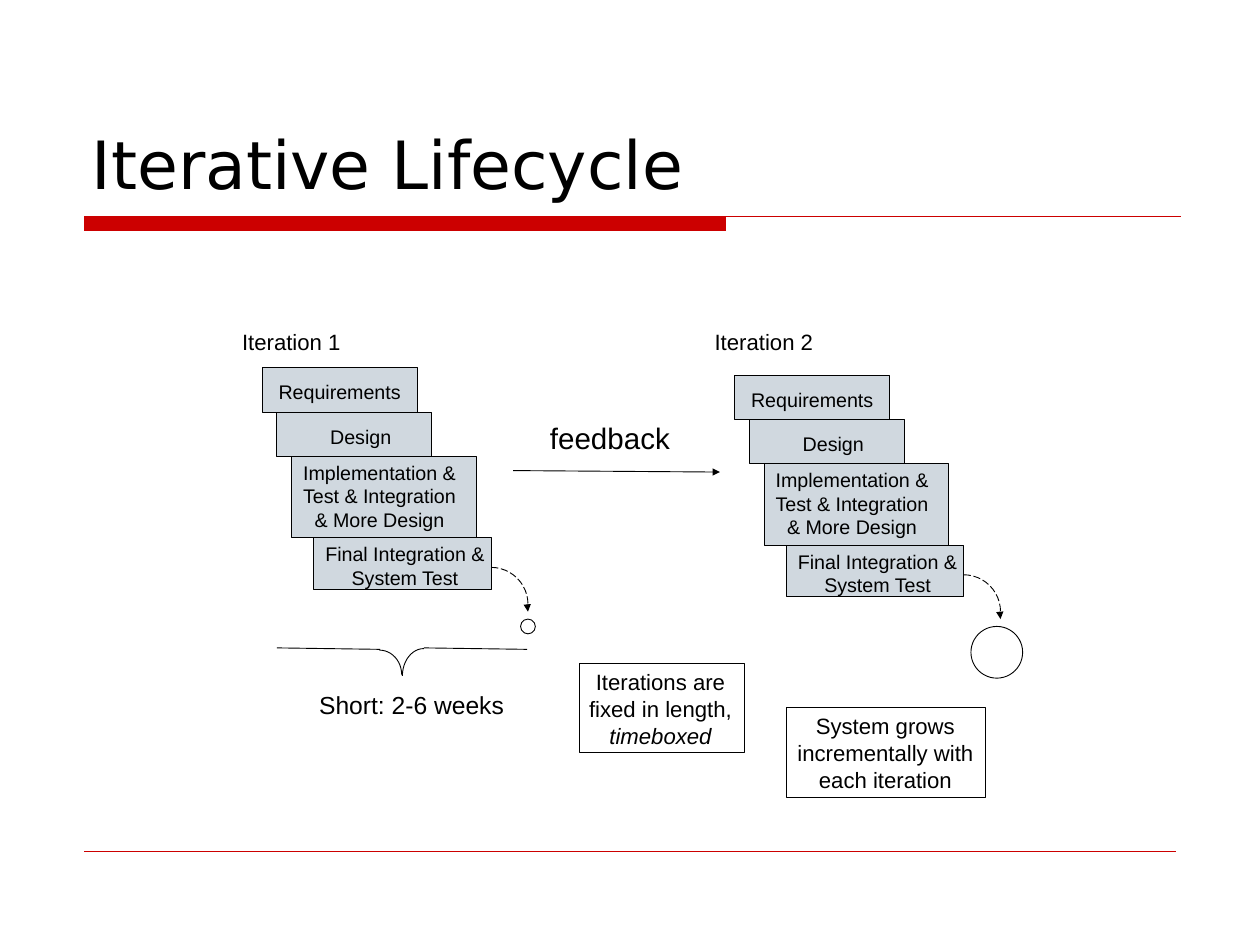
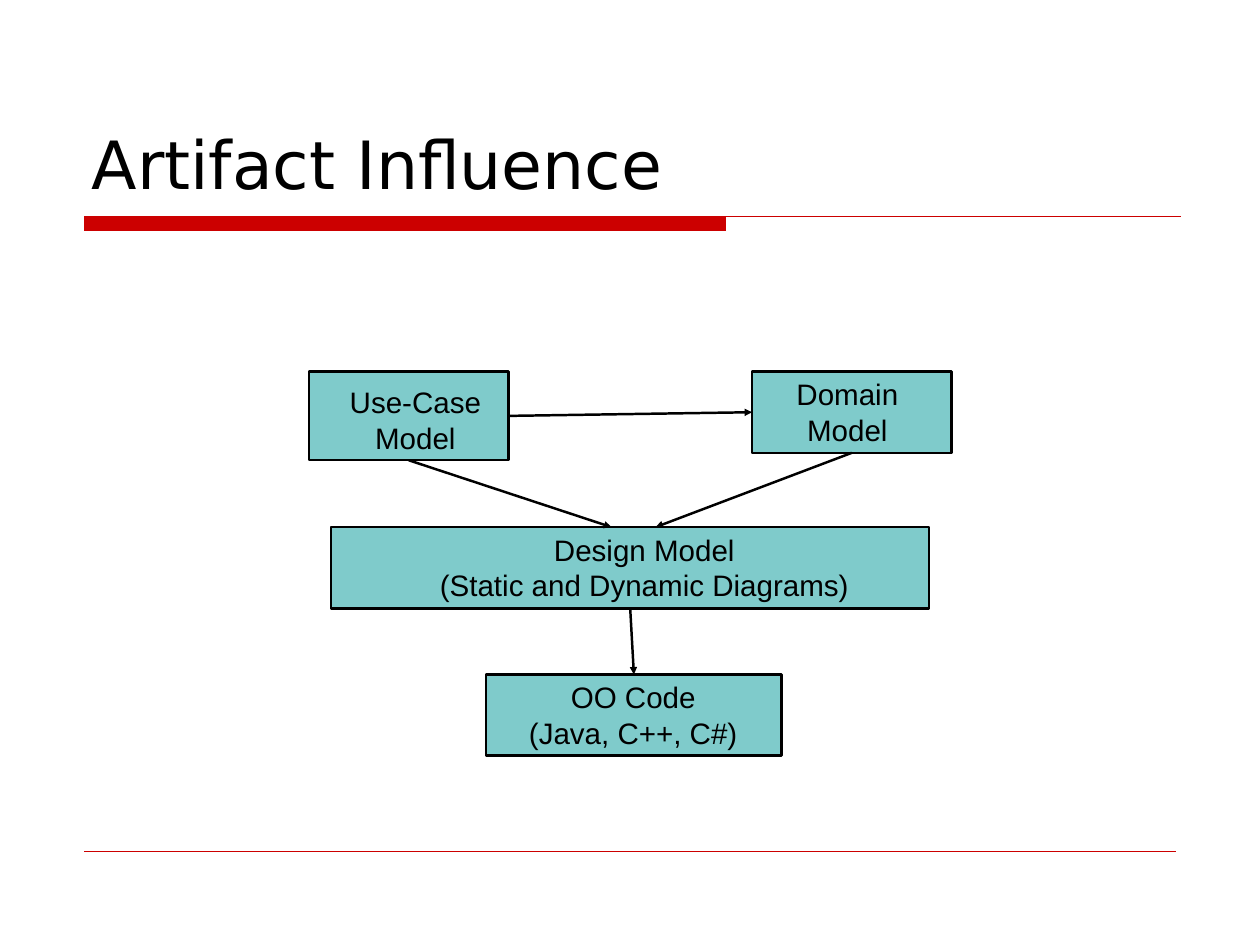
import pptx
import pptx.util
import pptx.dml.color
import pptx.enum.dml
import pptx.enum.shapes
import pptx.enum.text
import pptx.oxml
import pptx.oxml.ns

RGB = pptx.dml.color.RGBColor
KIND = pptx.enum.shapes.MSO_SHAPE
ALIGN = pptx.enum.text.PP_ALIGN
ANCHOR = pptx.enum.text.MSO_ANCHOR
SPACE = pptx.oxml.ns.nsdecls("a")

BLACK = RGB(0x00, 0x00, 0x00)
RED = RGB(0xCC, 0x00, 0x00)
SLATE = RGB(0xA3, 0xB2, 0xC1)
TEAL = RGB(0x00, 0x99, 0x99)

CELLS = 12
TOP, LEFT, BOTTOM, RIGHT = range(4)
NEXT = 64

STEPS = [
    (35.5, 21, 6, 1.7, 0, ["Requirements"]),
    (37.5, 21, 6, 1.7, 0.85, ["Design"]),
    (39.5, 25, 11, 0.6, -0.6, ["Implementation &", "Test & Integration", "& More Design"]),
    (42.5, 24, 7, 0.6, 0.35, ["Final Integration &", "System Test"]),
]


def cell(count):
    return pptx.util.Inches(count / CELLS)


def area(*counts):
    return [cell(count) for count in counts]


def text(frame, lines, size=16, face="Arial", lead=None, align=ALIGN.CENTER,
         anchor=ANCHOR.TOP, pads=(0, 0, 0, 0), slant=None):
    frame.word_wrap = True
    frame.vertical_anchor = anchor
    (frame.margin_left, frame.margin_top,
     frame.margin_right, frame.margin_bottom) = area(*pads)
    for rank, line in enumerate(lines):
        para = frame.add_paragraph() if rank else frame.paragraphs[0]
        para.alignment = align
        if lead:
            para.line_spacing = pptx.util.Pt(lead)
        run = para.add_run()
        run.text = line
        run.font.size = pptx.util.Pt(size)
        run.font.name = face
        run.font.color.rgb = BLACK
        if line == slant:
            run.font.italic = True


def shape(slide, kind, x, y, w, h, fill=None, clear=False, edge=BLACK, width=0.75):
    item = slide.shapes.add_shape(kind, *area(x, y, w, h))
    item.shadow.inherit = False
    if fill is None:
        item.fill.background()
    else:
        item.fill.solid()
        item.fill.fore_color.rgb = fill
    if clear:
        tone = next(item.element.spPr.iter(pptx.oxml.ns.qn("a:srgbClr")))
        tone.append(pptx.oxml.parse_xml(f'<a:alpha {SPACE} val="50000"/>'))
    if edge is None:
        item.line.fill.background()
    else:
        item.line.color.rgb = edge
        item.line.width = pptx.util.Pt(width)
    return item


def box(slide, x, y, w, h, lines, drop=0.6, shift=0, look=None, **form):
    item = shape(slide, KIND.RECTANGLE, x, y, w, h, **(look or {}))
    pads = (max(2 * shift, 0), drop, max(-2 * shift, 0), 0)
    text(item.text_frame, lines, pads=pads, **form)
    return item


def label(slide, mid, y, w, h, line, **form):
    item = slide.shapes.add_textbox(*area(mid - w / 2, y, w, h))
    text(item.text_frame, [line], **form)


def line(slide, x, y, far, low, tint=BLACK, width=0.75, arrow=False, start=None, end=None):
    item = slide.shapes.add_connector(
        pptx.enum.shapes.MSO_CONNECTOR.STRAIGHT, *area(x, y, far, low))
    if start:
        item.begin_connect(*start)
    if end:
        item.end_connect(*end)
    item.line.color.rgb = tint
    item.line.width = pptx.util.Pt(width)
    if arrow:
        item.get_or_add_ln().append(
            pptx.oxml.parse_xml(f'<a:tailEnd {SPACE} type="triangle"/>'))
    item.element.spPr.append(pptx.oxml.parse_xml(f'<a:effectLst {SPACE}/>'))
    return item


def arc(slide, x, y, w, h, dash=False, turn=None):
    item = shape(slide, KIND.ARC, x, y, w, h)
    if dash:
        item.line.dash_style = pptx.enum.dml.MSO_LINE.LONG_DASH
    if turn:
        item.adjustments[0], item.adjustments[1] = [angle * 0.6 for angle in turn]


def share(slide):
    bands = [
        shape(slide, KIND.RECTANGLE, 11.4, 29.25, 86.9, 2, fill=RED, edge=None),
        line(slide, 11.4, 29.25, 160, 29.25, tint=RED),
        line(slide, 11.4, 115.15, 159.2, 115.15, tint=RED, width=0.25),
    ]
    for band in bands:
        slide.slide_layout.shapes.element.append(band.element)


def page(deck, name):
    slide = deck.slides.add_slide(deck.slide_layouts[5])
    title = slide.shapes.title
    title.left, title.top, title.width, title.height = area(10.7, 5.6, 149.3, 22.7)
    text(title.text_frame, [name], size=54, face="DejaVu Sans", align=ALIGN.LEFT,
         anchor=ANCHOR.BOTTOM, pads=(1.7, 0.85, 1.7, 0.85))
    return slide


def stage(slide, rank, left, size):
    x, y = rank * NEXT, rank
    label(slide, 39.45 + x, 44.4, 20, 3.7, f"Iteration {rank + 1}", size=18, lead=22)
    top = 49.8 + y
    for start, w, h, drop, shift, lines in STEPS:
        box(slide, start + x, top, w, h, lines, drop=drop, shift=shift, lead=19,
            look={"fill": SLATE, "clear": True})
        top += h
    arc(slide, 61.5 + x, 76.8 + y, 10, 10, dash=True)
    line(slide, 71.4 + x, 81.8 + y, 71.5 + x, 82.8 + y, arrow=True)
    shape(slide, KIND.OVAL, left, 83.8 + y, size, size)


def cycle(deck):
    slide = page(deck, "Iterative Lifecycle")
    share(slide)
    for rank, (left, size) in enumerate([(70.5, 2), (131.5, 7)]):
        stage(slide, rank, left, size)
    for x in (37.5, 57.4):
        line(slide, x, 87.7, x + 14, 87.9)
    arc(slide, 48.4, 88, 6, 6.6)
    arc(slide, 54.5, 87.8, 5.8, 7.4, turn=(180, 270))
    line(slide, 69.5, 63.7, 97.5, 63.9, arrow=True)
    label(slide, 82.6, 56.8, 24, 4.8, "feedback", size=24, lead=29)
    label(slide, 55.75, 93.4, 34, 4, "Short: 2-6 weeks", size=20)
    note = {"size": 18, "lead": 22, "slant": "timeboxed"}
    box(slide, 78.5, 89.8, 22.3, 12.1,
        ["Iterations are", "fixed in length,", "timeboxed"], shift=-0.2, **note)
    box(slide, 106.5, 95.8, 27, 12.1,
        ["System grows", "incrementally with each iteration"], shift=-0.1, **note)


def flow(deck):
    slide = page(deck, "Artifact Influence")
    form = {"size": 24, "lead": 29, "look": {"fill": TEAL, "clear": True, "width": 2}}
    case = box(slide, 41.85, 50.3, 27, 12, ["Use-Case", "Model"],
               drop=1.65, shift=0.9, **form)
    field = box(slide, 101.85, 50.3, 27, 11, ["Domain", "Model"], shift=-0.6, **form)
    plan = box(slide, 44.85, 71.35, 81, 11,
               ["Design Model", "(Static and Dynamic Diagrams)"], shift=1.9, **form)
    code = box(slide, 65.85, 91.3, 40, 11, ["OO Code", "(Java, C++, C#)"],
               shift=-0.1, **form)
    pen = {"width": 2, "arrow": True}
    line(slide, 55.35, 62.3, 82.8, 71.35, start=(case, BOTTOM), **pen)
    line(slide, 115.35, 61.3, 88.8, 71.35, start=(field, BOTTOM), **pen)
    line(slide, 68.85, 56.3, 101.85, 55.8, start=(case, RIGHT), end=(field, LEFT), **pen)
    line(slide, 85.35, 82.35, 85.85, 91.3, start=(plan, BOTTOM), end=(code, TOP), **pen)


def main():
    deck = pptx.Presentation()
    deck.slide_width = pptx.util.Inches(14.22)
    deck.slide_height = pptx.util.Inches(10.66)
    cycle(deck)
    flow(deck)
    deck.save("out.pptx")


if __name__ == "__main__":
    main()
